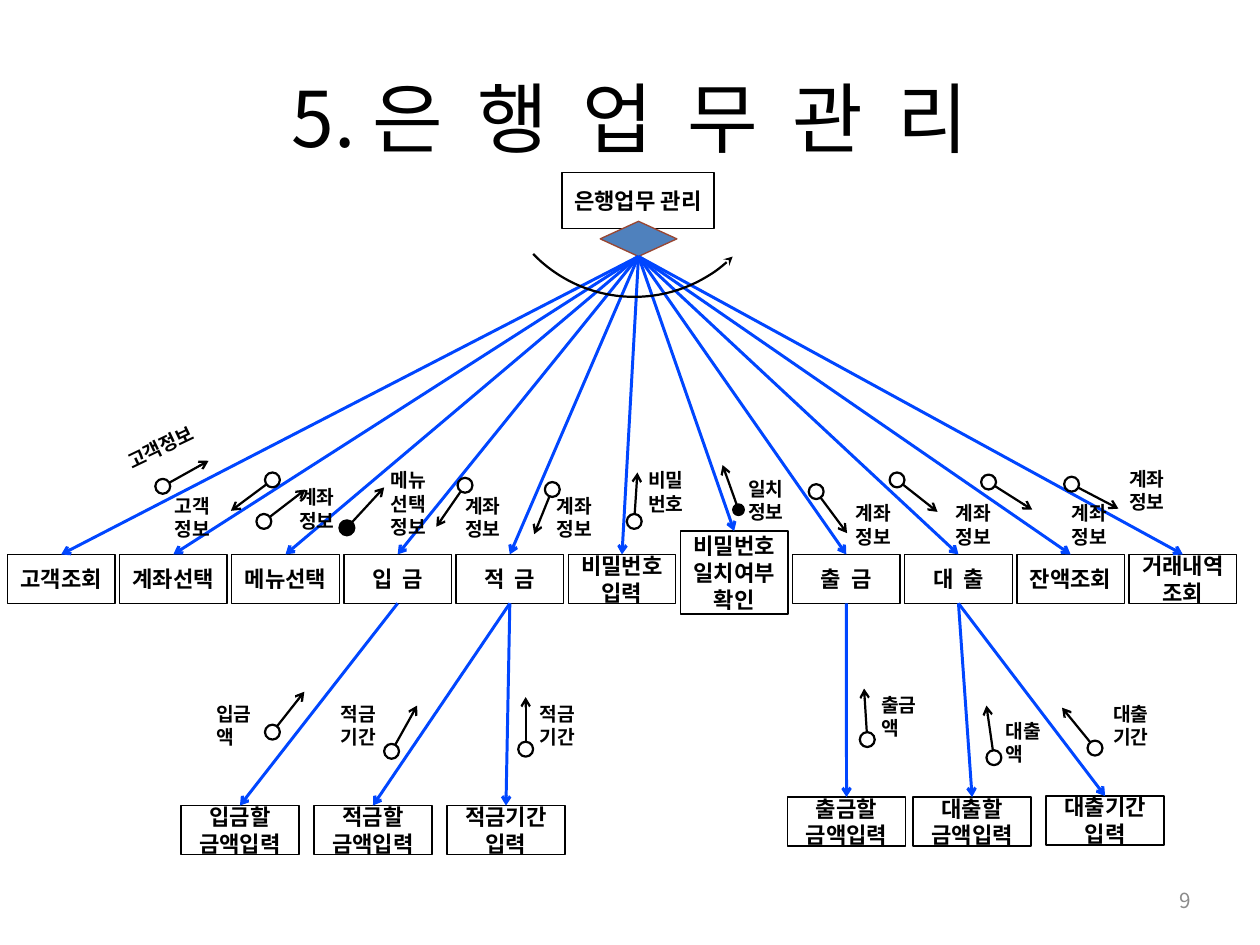
import math

import pptx
import pptx.chart.data
import pptx.dml.color
import pptx.enum.shapes
import pptx.enum.text
import pptx.oxml
import pptx.oxml.ns
import pptx.util

Inches = pptx.util.Inches
Pt = pptx.util.Pt
Kind = pptx.enum.shapes.MSO_SHAPE
Line = pptx.enum.shapes.MSO_CONNECTOR
Align = pptx.enum.text.PP_ALIGN
Anchor = pptx.enum.text.MSO_ANCHOR
Fit = pptx.enum.text.MSO_AUTO_SIZE

FONT = "Noto Sans CJK KR"
HEX = {"black": "000000", "white": "FFFFFF", "blue": "0046FF",
       "gem": "4F81BD", "edge": "994733", "gray": "8C8C8C"}

# Main row of modules: equal steps across the slide
ROW = ["고객조회", "계좌선택", "메뉴선택", "입  금", "적  금", "비밀번호\n입력",
       "비밀번호\n일치여부확인", "출  금", "대  출", "잔액조회", "거래내역 조회"]
LEFT, STEP = 0.07, 1.054
TALL = 6

# Lower modules: text, left, top, index of the parent in ROW
LOWER = [("입금할\n금액입력", 1.7, 7.57, 3), ("적금할\n금액입력", 2.95, 7.57, 4),
         ("적금기간입력", 4.2, 7.57, 4), ("출금할\n금액입력", 7.4, 7.49, 7),
         ("대출할\n금액입력", 8.58, 7.49, 8), ("대출기간입력", 9.83, 7.48, 8)]

# Data flows: centre of the ring, tip of the arrow
DATA = [(1.53, 4.57, 1.96, 4.33), (2.56, 4.51, 2.17, 4.8),
        (2.48, 4.9, 2.87, 4.6), (4.37, 4.56, 4.1, 4.95),
        (5.19, 4.6, 5.02, 5.02), (5.96, 4.9, 5.99, 4.44),
        (7.67, 4.62, 7.96, 5.01), (8.43, 4.51, 8.81, 4.81),
        (9.29, 4.53, 9.7, 4.79), (10.07, 4.55, 10.51, 4.78),
        (2.56, 6.88, 2.86, 6.5), (3.68, 7.06, 3.92, 6.63),
        (4.94, 7.04, 4.94, 6.55), (8.15, 6.95, 8.12, 6.47),
        (9.34, 7.12, 9.27, 6.63), (10.29, 7.03, 9.98, 6.65)]

# Flow labels: text, left, top, width
LABELS = [("고객정보", 1.55, 4.6, 0.63), ("계좌정보", 2.72, 4.52, 0.63),
          ("메뉴선택정보", 3.58, 4.36, 0.63), ("계좌정보", 4.28, 4.6, 0.63),
          ("계좌정보", 5.14, 4.6, 0.63), ("비밀번호", 6, 4.36, 0.63),
          ("일치정보", 6.94, 4.44, 0.67), ("계좌정보", 7.95, 4.67, 0.63),
          ("계좌정보", 8.89, 4.67, 0.63), ("계좌정보", 9.98, 4.67, 0.63),
          ("계좌정보", 10.52, 4.35, 0.63), ("입금액", 1.94, 6.55, 0.56),
          ("적금기간", 3.11, 6.55, 0.55), ("적금기간", 4.98, 6.55, 0.56),
          ("출금액", 8.19, 6.47, 0.56), ("대출액", 9.36, 6.71, 0.56),
          ("대출기간", 10.37, 6.55, 0.56)]


def tint(name):
    return pptx.dml.color.RGBColor.from_string(HEX[name])


def write(shape, text, size, align, anchor, pad, bold=True, color="black"):
    frame = shape.text_frame
    frame.word_wrap = True
    frame.vertical_anchor = anchor
    frame.margin_left = frame.margin_right = Inches(pad)
    frame.margin_top = frame.margin_bottom = Inches(pad / 2)
    for i, part in enumerate(text.split("\n")):
        para = frame.add_paragraph() if i else frame.paragraphs[0]
        para.alignment = align
        run = para.add_run()
        run.text = part
        font = run.font
        font.name, font.size, font.bold = FONT, Pt(size), bold
        font.color.rgb = tint(color)
        east = pptx.oxml.parse_xml(
            f'<a:ea {pptx.oxml.ns.nsdecls("a")} typeface="{FONT}"/>')
        font._element.find(pptx.oxml.ns.qn("a:latin")).addnext(east)


def solid(slide, kind, x, y, w, h, fill, edge="black", width=0.9):
    shape = slide.shapes.add_shape(kind, Inches(x), Inches(y), Inches(w), Inches(h))
    shape.shadow.inherit = False
    if fill:
        shape.fill.solid()
        shape.fill.fore_color.rgb = tint(fill)
    else:
        shape.fill.background()
    shape.line.color.rgb = tint(edge)
    shape.line.width = Pt(width)
    return shape


def box(slide, text, x, y, w, h=0.46):
    shape = solid(slide, Kind.RECTANGLE, x, y, w, h, "white")
    write(shape, text, 15, Align.CENTER, Anchor.MIDDLE, 0.09)
    return shape


def label(slide, text, x, y, w, h=0.53, turn=0):
    shape = slide.shapes.add_textbox(Inches(x), Inches(y), Inches(w), Inches(h))
    write(shape, text, 13, Align.LEFT, Anchor.TOP, 0.09)
    shape.text_frame.auto_size = Fit.SHAPE_TO_FIT_TEXT
    shape.rotation = turn


def tip(shape, end, kind):
    head = pptx.oxml.parse_xml(
        f'<a:{end} {pptx.oxml.ns.nsdecls("a")} type="{kind}"/>')
    shape.line._get_or_add_ln().append(head)


def arrow(slide, x1, y1, x2, y2, color="black", width=1.5):
    wire = slide.shapes.add_connector(
        Line.STRAIGHT, Inches(x1), Inches(y1), Inches(x2), Inches(y2))
    wire.line.color.rgb = tint(color)
    wire.line.width = Pt(width)
    tip(wire, "tailEnd", "arrow")
    wire._element.spPr.append(pptx.oxml.parse_xml(
        f'<a:effectLst {pptx.oxml.ns.nsdecls("a")}/>'))
    return wire


def link(slide, top, low):
    wire = arrow(slide, 0, 0, 1, 1, "blue", 2)
    wire.begin_connect(top, 2)
    wire.end_connect(low, 0)


def flow(slide, x, y, tx, ty, fill=None, size=0.14):
    rad = size / 2
    solid(slide, Kind.FLOWCHART_CONNECTOR, x - rad, y - rad, size, size, fill, width=1.5)
    far = math.hypot(tx - x, ty - y)
    arrow(slide, x + rad * (tx - x) / far, y + rad * (ty - y) / far, tx, ty)


def sweep(slide, x, y, rad, start, stop):
    arc = solid(slide, Kind.ARC, x - rad, y - rad, 2 * rad, 2 * rad, None, width=1.5)
    # Angles are stored in 60000ths of a degree, adjustments in 100000ths
    arc.adjustments[0] = start * 0.6
    arc.adjustments[1] = stop * 0.6
    tip(arc, "headEnd", "stealth")


def main():
    deck = pptx.Presentation()
    deck.slide_width, deck.slide_height = Inches(11.84), Inches(8.88)
    slide = deck.slides.add_slide(deck.slide_layouts[5])

    # Title
    title = slide.shapes.title
    title.left, title.top = Inches(0.59), Inches(0.36)
    title.width, title.height = Inches(10.66), Inches(1.48)
    write(title, "5. 은  행  업  무  관  리", 52, Align.CENTER, Anchor.MIDDLE, 0.12, False)
    title.text_frame.auto_size = Fit.NONE

    # Root module and its choice sign
    box(slide, "은행업무 관리", 5.28, 1.62, 1.43, 0.53)
    gem = solid(slide, Kind.DIAMOND, 5.64, 2.08, 0.72, 0.33, "gem", "edge")

    # Main row
    mods = []
    for i, text in enumerate(ROW):
        y, h = (4.99, 0.78) if i == TALL else (5.21, 0.46)
        mods.append(box(slide, text, LEFT + i * STEP, y, 1.01, h))
        link(slide, gem, mods[i])

    # Lower modules
    for text, x, y, top in LOWER:
        link(slide, mods[top], box(slide, text, x, y, 1.11))

    # Data flows, then the two control flows
    for spot in DATA:
        flow(slide, *spot)
    flow(slide, 3.26, 4.96, 3.61, 4.58, "black")
    flow(slide, 6.94, 4.79, 6.79, 4.37, "black", 0.1)

    # Labels
    label(slide, "고객정보", 1.08, 4.01, 1.01, 0.31, 334.3)
    for item in LABELS:
        label(slide, *item)

    # Loop sign
    sweep(slide, 5.96, 1.47, 1.32, 45.5, 136)

    # Page number
    page = slide.shapes.add_textbox(Inches(8.55), Inches(8.22), Inches(2.76), Inches(0.47))
    write(page, "9", 14, Align.RIGHT, Anchor.MIDDLE, 0.12, False, "gray")

    deck.save("out.pptx")


if __name__ == "__main__":
    main()
